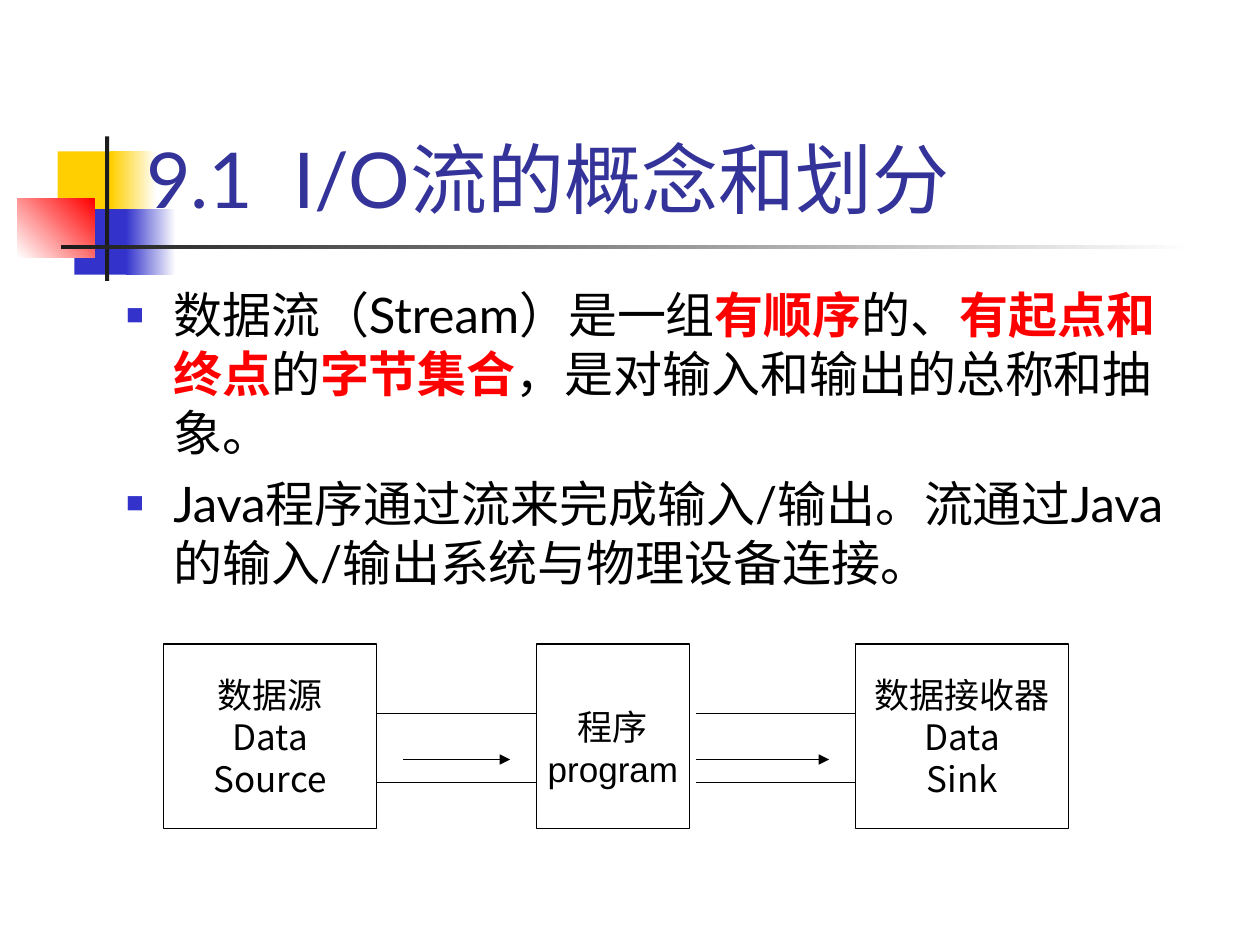
from lxml import etree
from pptx import Presentation
from pptx import util as u
from pptx.dml import color
from pptx.enum import shapes, text
from pptx.oxml import ns

CJK = "Noto Sans CJK SC"
BLACK, RED, BLUE, YELLOW, DARK = "000000", "FF0000", "3333CC", "FFCF01", "1C1C1C"
WHITE, TITLE_BLUE = "FFFFFF", "333399"


def rgb(value):
    return color.RGBColor.from_string(value)


def add_xml(parent, tag, **attributes):
    return etree.SubElement(parent, ns.qn(tag), attributes)


class SlideBuilder:
    """Holds the text style and the slide being built."""

    def __init__(self, slide, font="Lato", line_width=0.75):
        self.slide = slide
        self.font = font
        self.line_width = line_width

    def format_run(self, run, size, colour=BLACK, bold=False, font=None):
        run.font.size = u.Pt(size)
        run.font.name = font or self.font
        run.font.bold = bold
        run.font.color.rgb = rgb(colour)
        add_xml(run.font._element, "a:ea", typeface=CJK)

    def rectangle(self, left, top, width, height):
        shape = self.slide.shapes.add_shape(
            shapes.MSO_SHAPE.RECTANGLE, u.Pt(left), u.Pt(top), u.Pt(width), u.Pt(height))
        shape.shadow.inherit = False
        return shape

    def block(self, area, start, end=None, angle=0):
        """Borderless block, plain or with a gradient from start to end."""
        shape = self.rectangle(*area)
        shape.line.fill.background()
        if end is None:
            shape.fill.solid()
            shape.fill.fore_color.rgb = rgb(start)
            return
        shape.fill.gradient()
        shape.fill.gradient_angle = angle
        for stop, colour in zip(shape.fill.gradient_stops, (start, end)):
            stop.color.rgb = rgb(colour)

    def flow_box(self, area, label, font, top_inset=3):
        shape = self.rectangle(*area)
        shape.fill.background()
        shape.line.color.rgb = rgb(BLACK)
        shape.line.width = u.Pt(self.line_width)
        frame = shape.text_frame
        frame.text = label
        frame.word_wrap = True
        frame.vertical_anchor = text.MSO_ANCHOR.MIDDLE
        frame.margin_left = frame.margin_right = u.Pt(6)
        frame.margin_top, frame.margin_bottom = u.Pt(top_inset), u.Pt(3)
        for paragraph in frame.paragraphs:
            paragraph.alignment = text.PP_ALIGN.CENTER
            for run in paragraph.runs:
                self.format_run(run, 20, font=font)

    def line(self, start, end, y, arrow=False):
        connector = self.slide.shapes.add_connector(
            shapes.MSO_CONNECTOR.STRAIGHT, u.Pt(start), u.Pt(y), u.Pt(end), u.Pt(y))
        connector.line.color.rgb = rgb(BLACK)
        connector.line.width = u.Pt(self.line_width)
        if arrow:
            add_xml(connector.line._get_or_add_ln(), "a:tailEnd", type="triangle")
        add_xml(connector._element.spPr, "a:effectLst")

    def placeholder(self, index, left, top, width, height):
        """Place a template placeholder in front of what is already drawn."""
        shape = self.slide.placeholders[index]
        shape.left, shape.top = u.Pt(left), u.Pt(top)
        shape.width, shape.height = u.Pt(width), u.Pt(height)
        shape._element.getparent().append(shape._element)
        shape.text_frame.auto_size = text.MSO_AUTO_SIZE.NONE
        return shape.text_frame

    def title(self, area, label):
        frame = self.placeholder(0, *area)
        frame.text = label
        frame.vertical_anchor = text.MSO_ANCHOR.BOTTOM
        paragraph = frame.paragraphs[0]
        paragraph.alignment = text.PP_ALIGN.LEFT
        self.format_run(paragraph.runs[0], 44, TITLE_BLUE)

    def bullet_list(self, area, items):
        """Each item is a list of pieces; every second piece is emphasised."""
        frame = self.placeholder(1, *area)
        for number, pieces in enumerate(items):
            paragraph = frame.add_paragraph() if number else frame.paragraphs[0]
            self.square_bullet(paragraph)
            paragraph.space_before = u.Pt(7 if number else 0)
            for position, piece in enumerate(pieces):
                emphasised = position % 2 == 1
                run = paragraph.add_run()
                run.text = piece
                self.format_run(run, 28, RED if emphasised else BLACK, emphasised)

    def square_bullet(self, paragraph):
        properties = paragraph._p.get_or_add_pPr()
        indent = u.Pt(27)
        properties.set("marL", str(indent))
        properties.set("indent", str(-indent))
        add_xml(add_xml(properties, "a:buClr"), "a:srgbClr", val=BLUE)
        add_xml(properties, "a:buSzPct", val="60000")
        add_xml(properties, "a:buFont", typeface="Arial")
        add_xml(properties, "a:buChar", char="■")


def main():
    presentation = Presentation()
    presentation.slide_width, presentation.slide_height = u.Pt(720), u.Pt(540)
    builder = SlideBuilder(presentation.slides.add_slide(presentation.slide_layouts[1]))

    # Coloured corner blocks and rules
    builder.block((33, 86.5, 35, 37.5), YELLOW)
    builder.block((63.5, 86.5, 26, 37.5), YELLOW, WHITE)
    builder.block((42.5, 119.5, 33, 37.5), BLUE)
    builder.block((72, 119.5, 28.5, 37.5), BLUE, WHITE)
    builder.block((10, 113.5, 44, 33.5), WHITE, RED, angle=45)
    builder.block((60, 78, 2.4, 82.5), DARK)
    builder.block((34.8, 140, 648, 2.5), DARK, WHITE)

    # Title and bullets
    builder.title((76.3, 16.5, 613.5, 115.3), "9.1  I/O流的概念和划分")
    builder.bullet_list((64.8, 159, 612, 207.5), [
        ["数据流（Stream）是一组", "有顺序", "的、", "有起点和终点", "的", "字节集合",
         "，是对输入和输出的总称和抽象。"],
        ["Java程序通过流来完成输入/输出。流通过Java的输入/输出系统与物理设备连接。"],
    ])

    # Data flow boxes
    top, height = 368, 105.3
    builder.flow_box((93.5, top, 121.7, height), "数据源\nData\nSource", CJK)
    builder.flow_box((306.7, top, 87.2, height), "程序\nprogram", "Arial", top_inset=16)
    builder.flow_box((489, top, 121.7, height), "数据接收器\nData\nSink", CJK)

    # Pipes between the boxes, each with a flow arrow
    for pipe_start, pipe_end, arrow_start, arrow_end in (
            (215.2, 306.7, 230.4, 291.5), (398, 489, 398, 473.8)):
        for y in (407.6, 447.2):
            builder.line(pipe_start, pipe_end, y)
        builder.line(arrow_start, arrow_end, 434, arrow=True)

    presentation.save("out.pptx")


if __name__ == "__main__":
    main()
